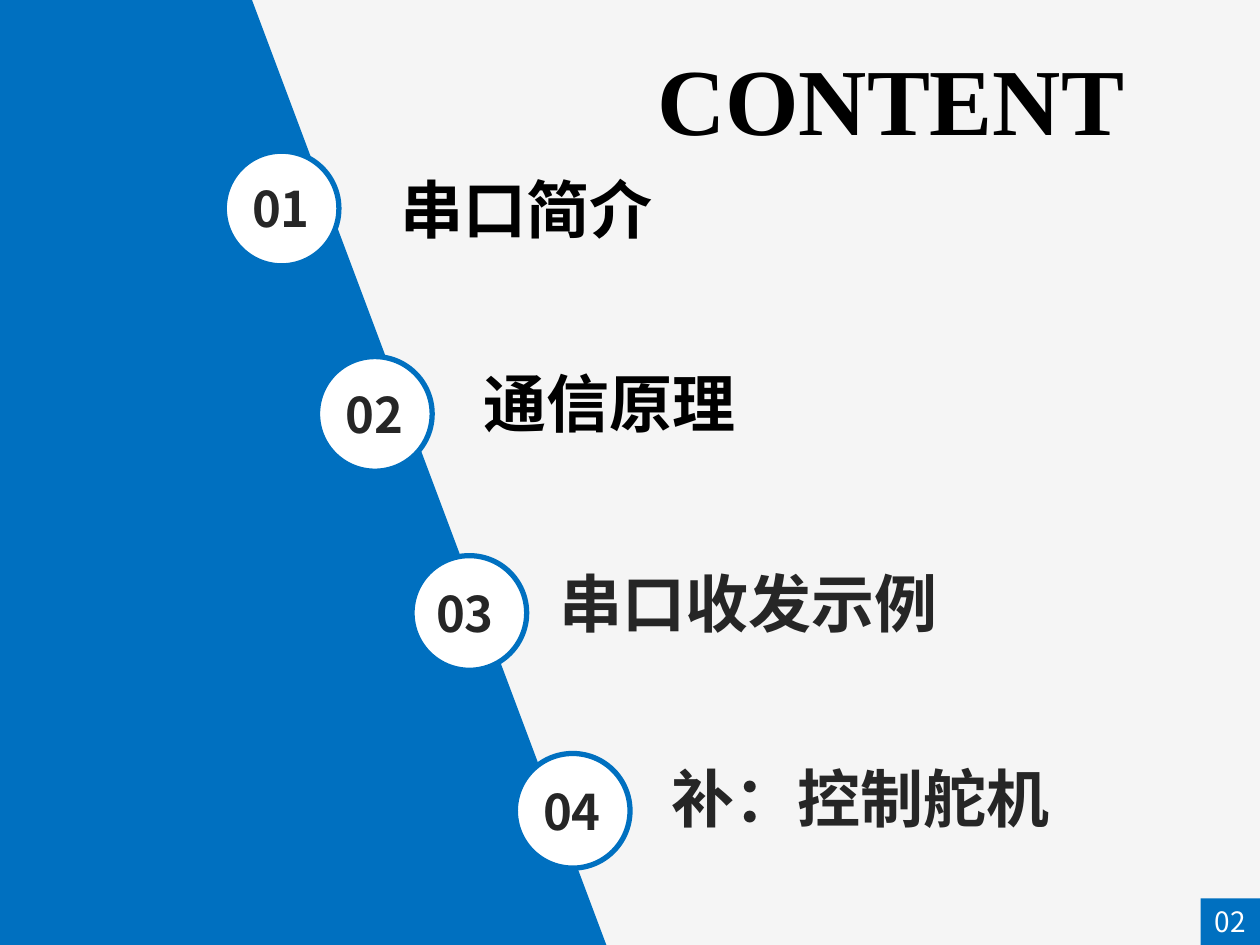
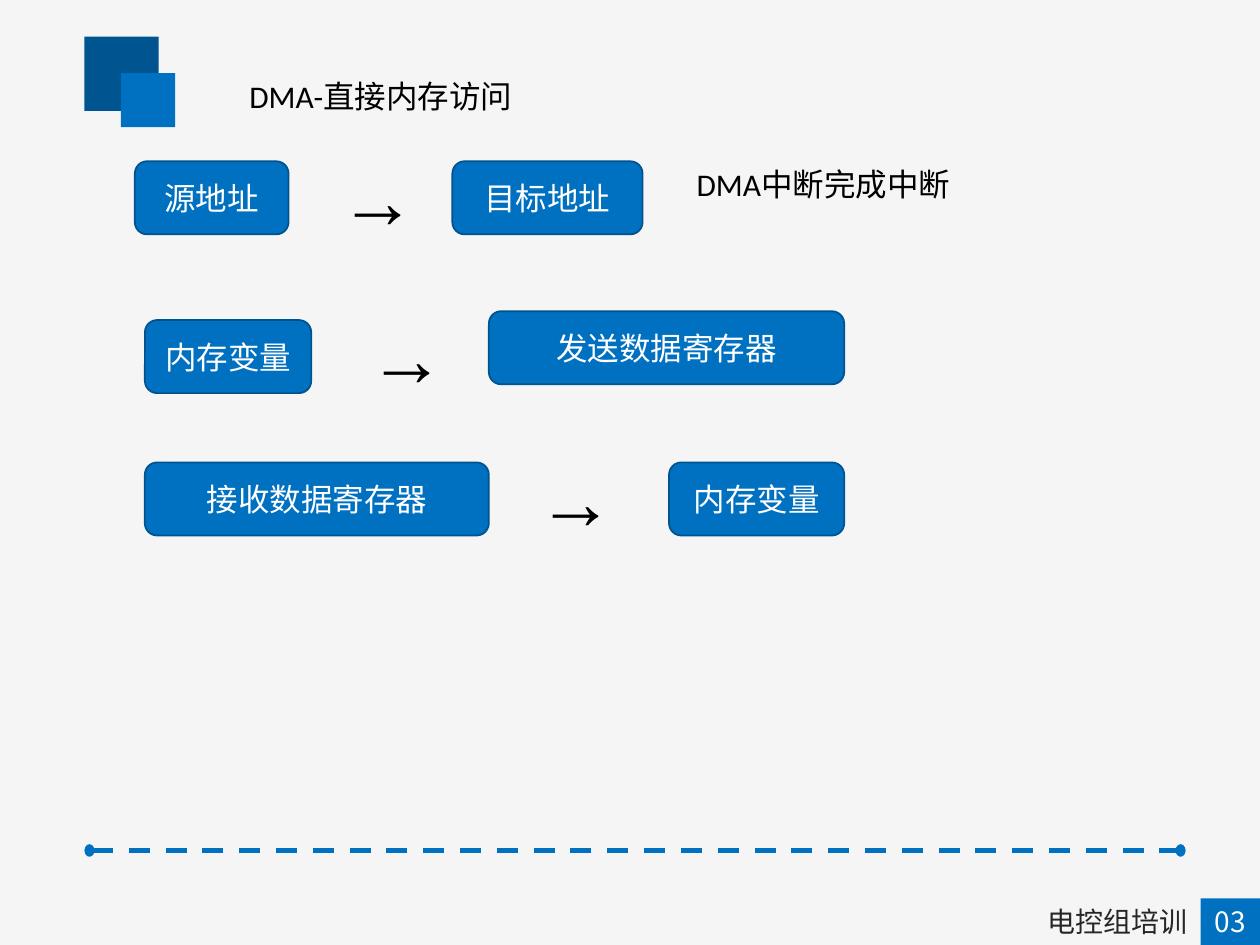
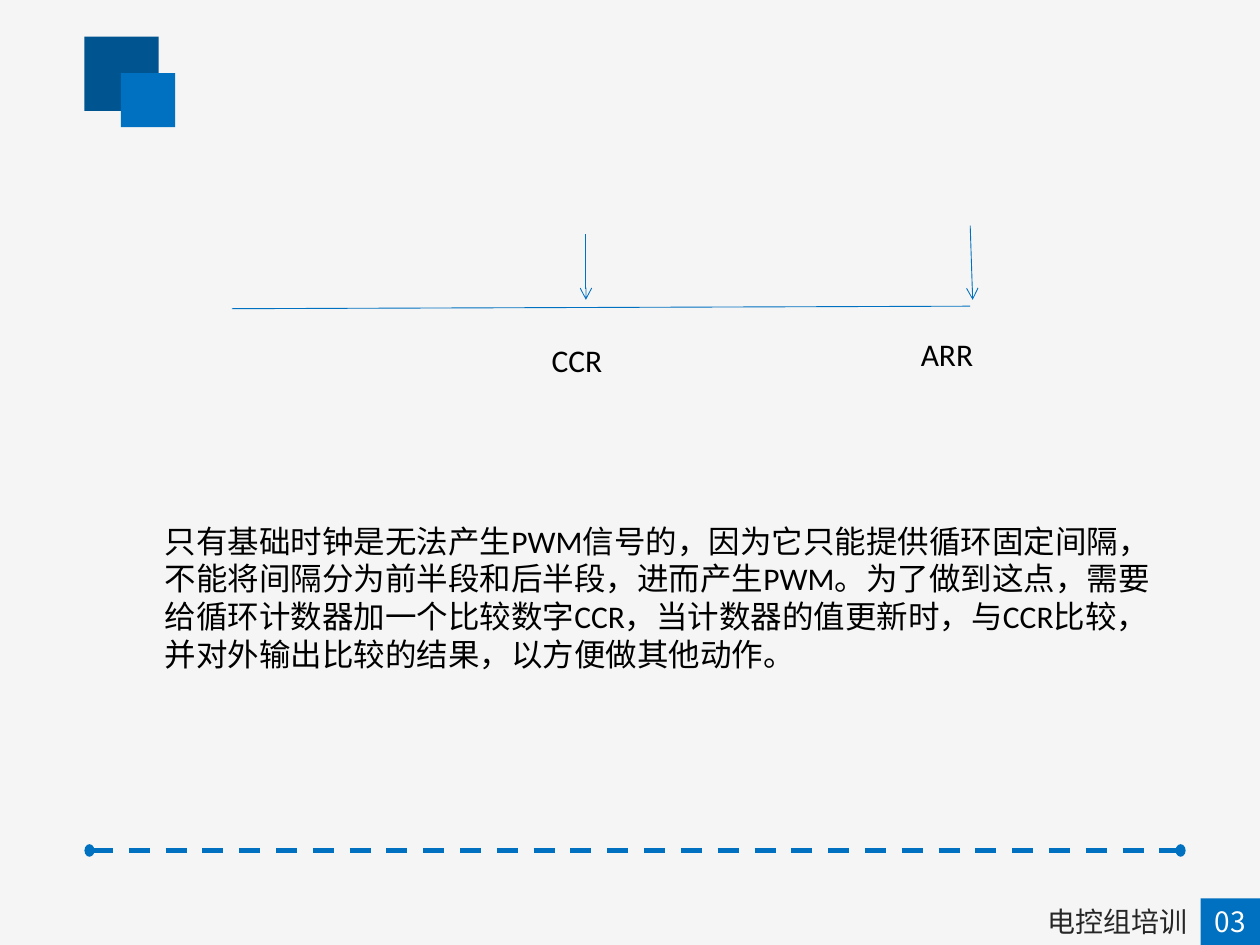
import dataclasses
import typing

import lxml.etree
import pptx
import pptx.dml.color
import pptx.enum.dml
import pptx.enum.shapes
import pptx.enum.text
import pptx.oxml.ns
import pptx.util

Inches = pptx.util.Inches
Pt = pptx.util.Pt
Shapes = pptx.enum.shapes.MSO_SHAPE
Align = pptx.enum.text.PP_ALIGN
Anchor = pptx.enum.text.MSO_ANCHOR

BLUE = "0070C0"
DEEP_BLUE = "005490"
EDGE_BLUE = "00538E"
PAPER = "F5F5F5"
WHITE = "FFFFFF"
BLACK = "000000"
INK = "262626"

CHINESE_FONT = "Noto Sans CJK SC"


@dataclasses.dataclass(frozen=True)
class Area:
    left: float
    top: float
    width: float
    height: float

    def lengths(self) -> list[int]:
        return [Inches(value) for value in dataclasses.astuple(self)]


@dataclasses.dataclass(frozen=True)
class TextStyle:
    size: float
    font: str = CHINESE_FONT
    east_asian_font: str = CHINESE_FONT
    color: str = BLACK
    bold: bool = False
    align: typing.Any = Align.LEFT


@dataclasses.dataclass(frozen=True)
class Chapter:
    number: str
    title: str
    badge_left: float
    badge_top: float
    title_left: float
    title_top: float
    title_width: float
    title_color: str
    number_shift: float = 0


@dataclasses.dataclass(frozen=True)
class Transfer:
    """A source box, an arrow and a target box in one row."""
    source: str
    source_area: Area
    target: str
    target_area: Area
    arrow_left: float
    arrow_top: float


BODY = TextStyle(18, "Calibri")
BOX_LABEL = TextStyle(18, "Calibri", color=WHITE, align=Align.CENTER)
ARROW = TextStyle(44, "Arial", "Arial")
BADGE_NUMBER = TextStyle(28, color=INK, bold=True, align=Align.CENTER)
CONTENT_TITLE = TextStyle(54, "Times New Roman", bold=True, align=Align.CENTER)
PAGE_NUMBER = TextStyle(16, color=WHITE, align=Align.CENTER)
FOOTER = TextStyle(16, color=INK, align=Align.RIGHT)

CHAPTERS = [
    Chapter("01", "串口简介", 1.78, 1.2, 3.08, 1.3, 6.22, BLACK),
    Chapter("02", "通信原理", 2.52, 2.83, 3.74, 2.84, 5.47, BLACK),
    Chapter("03", "串口收发示例", 3.27, 4.41, 4.34, 4.43, 5.47, INK, -0.03),
    Chapter("04", "补：控制舵机", 4.09, 5.98, 5.23, 5.98, 4.7, INK),
]

BOX_HEIGHT = 0.58
TRANSFERS = [
    Transfer("源地址", Area(1.07, 1.28, 1.22, BOX_HEIGHT),
             "目标地址", Area(3.59, 1.28, 1.51, BOX_HEIGHT), 2.6, 1.15),
    Transfer("内存变量", Area(1.15, 2.54, 1.32, BOX_HEIGHT),
             "发送数据寄存器", Area(3.88, 2.47, 2.82, BOX_HEIGHT), 2.83, 2.41),
    Transfer("接收数据寄存器", Area(1.15, 3.67, 2.73, BOX_HEIGHT),
             "内存变量", Area(5.31, 3.67, 1.39, BOX_HEIGHT), 4.17, 3.54),
]

PWM_TEXT = (
    "只有基础时钟是无法产生PWM信号的，因为它只能提供循环固定间隔，"
    "不能将间隔分为前半段和后半段，进而产生PWM。为了做到这点，"
    "需要给循环计数器加一个比较数字CCR，当计数器的值更新时，"
    "与CCR比较，并对外输出比较的结果，以方便做其他动作。"
)


def rgb(color: str) -> pptx.dml.color.RGBColor:
    return pptx.dml.color.RGBColor.from_string(color)


def add_child(parent, tag: str, **attributes: str) -> None:
    lxml.etree.SubElement(parent, pptx.oxml.ns.qn(tag), attributes)


def write(frame, text: str, style: TextStyle) -> None:
    frame.word_wrap = True
    para = frame.paragraphs[0]
    para.alignment = style.align
    span = para.add_run()
    span.text = text
    span.font.size = Pt(style.size)
    span.font.bold = style.bold
    span.font.name = style.font
    span.font.color.rgb = rgb(style.color)
    add_child(span.font._element, "a:ea", typeface=style.east_asian_font)


def add_text(page, area: Area, text: str, style: TextStyle) -> None:
    box = page.shapes.add_textbox(*area.lengths())
    write(box.text_frame, text, style)
    box.text_frame.auto_size = pptx.enum.text.MSO_AUTO_SIZE.SHAPE_TO_FIT_TEXT


def paint(shape, fill: str, line: str = "", line_width: float = 1) -> None:
    shape.shadow.inherit = False
    shape.fill.solid()
    shape.fill.fore_color.rgb = rgb(fill)
    if line:
        shape.line.color.rgb = rgb(line)
        shape.line.width = Pt(line_width)
    else:
        shape.line.fill.background()


def add_shape(page, kind, area: Area, fill: str, line: str = "", line_width: float = 1):
    shape = page.shapes.add_shape(kind, *area.lengths())
    paint(shape, fill, line, line_width)
    return shape


def add_line(page, start: tuple[float, float], end: tuple[float, float],
             width: float, dashed: bool = False, arrow: bool = False) -> None:
    line = page.shapes.add_connector(
        pptx.enum.shapes.MSO_CONNECTOR.STRAIGHT,
        *(Inches(value) for value in start + end))
    line.line.color.rgb = rgb(BLUE)
    line.line.width = Pt(width)
    if dashed:
        line.line.dash_style = pptx.enum.dml.MSO_LINE.DASH
    if arrow:
        add_child(line.line._get_or_add_ln(), "a:tailEnd", type="arrow")
    add_child(line._element.spPr, "a:effectLst")


def add_page(deck, number: str):
    page = deck.slides.add_slide(deck.slide_layouts[6])
    page.background.fill.solid()
    page.background.fill.fore_color.rgb = rgb(PAPER)
    tab = add_shape(page, Shapes.RECTANGLE, Area(9.53, 7.13, 0.47, 0.37), BLUE)
    tab.text_frame.vertical_anchor = Anchor.TOP
    tab.text_frame.margin_left = tab.text_frame.margin_right = 0
    write(tab.text_frame, number, PAGE_NUMBER)
    return page


def add_body_page(deck, number: str):
    """Add a page with the corner squares, the dashed rule and the footer."""
    page = add_page(deck, number)
    add_shape(page, Shapes.RECTANGLE, Area(0.67, 0.29, 0.59, 0.59), DEEP_BLUE)
    add_shape(page, Shapes.RECTANGLE, Area(0.96, 0.58, 0.43, 0.43), BLUE)
    add_line(page, (0.73, 6.75), (9.33, 6.75), 3, dashed=True)
    for dot_left in (0.67, 9.33):
        add_shape(page, Shapes.OVAL, Area(dot_left, 6.7, 0.08, 0.1), BLUE)
    add_text(page, Area(1.33, 7.13, 8.19, 0.37), "电控组培训", FOOTER)
    return page


def add_chapter(page, chapter: Chapter) -> None:
    left, top = chapter.badge_left, chapter.badge_top
    add_shape(page, Shapes.OVAL, Area(left, top, 0.91, 0.91), WHITE, BLUE, 3)
    add_text(page, Area(left + 0.08 + chapter.number_shift, top + 0.17, 0.74, 0.57),
             chapter.number, BADGE_NUMBER)
    add_text(page, Area(chapter.title_left, chapter.title_top, chapter.title_width, 0.71),
             chapter.title, TextStyle(36, color=chapter.title_color, bold=True))


def add_transfer(page, transfer: Transfer) -> None:
    for label, area in ((transfer.source, transfer.source_area),
                        (transfer.target, transfer.target_area)):
        box = add_shape(page, Shapes.ROUNDED_RECTANGLE, area, BLUE, EDGE_BLUE)
        box.text_frame.vertical_anchor = Anchor.MIDDLE
        write(box.text_frame, label, BOX_LABEL)
    add_text(page, Area(transfer.arrow_left, transfer.arrow_top, 0.84, 0.84), "→", ARROW)


def build_content_page(deck) -> None:
    page = add_page(deck, "02")
    outline = page.shapes.build_freeform(0, 0, scale=Inches(1))
    outline.add_line_segments([(1.56, 0), (5.07, 7.51), (0.02, 7.55), (0.01, 3.5)])
    paint(outline.convert_to_shape(), BLUE)
    add_text(page, Area(4.77, 0.28, 4.6, 1.01), "CONTENT", CONTENT_TITLE)
    for chapter in CHAPTERS:
        add_chapter(page, chapter)


def build_dma_page(deck) -> None:
    page = add_body_page(deck, "03")
    add_text(page, Area(1.88, 0.56, 4.82, 0.4), "DMA-直接内存访问", BODY)
    add_text(page, Area(5.43, 1.26, 3.43, 0.4), "DMA中断完成中断", BODY)
    for transfer in TRANSFERS:
        add_transfer(page, transfer)


def build_pwm_page(deck) -> None:
    page = add_body_page(deck, "03")
    add_line(page, (1.84, 2.45), (7.7, 2.43), 0.5)
    add_line(page, (4.65, 1.86), (4.65, 2.38), 0.5, arrow=True)
    add_line(page, (7.7, 1.79), (7.72, 2.38), 0.5, arrow=True)
    add_text(page, Area(7.21, 2.61, 1.5, 0.4), "ARR", BODY)
    add_text(page, Area(4.28, 2.66, 0.9, 0.4), "CCR", BODY)
    add_text(page, Area(1.21, 4.09, 8.06, 1.31), PWM_TEXT, BODY)


def main() -> None:
    deck = pptx.Presentation()
    deck.slide_width = Inches(10)
    deck.slide_height = Inches(7.5)
    build_content_page(deck)
    build_dma_page(deck)
    build_pwm_page(deck)
    deck.save("out.pptx")


if __name__ == "__main__":
    main()
